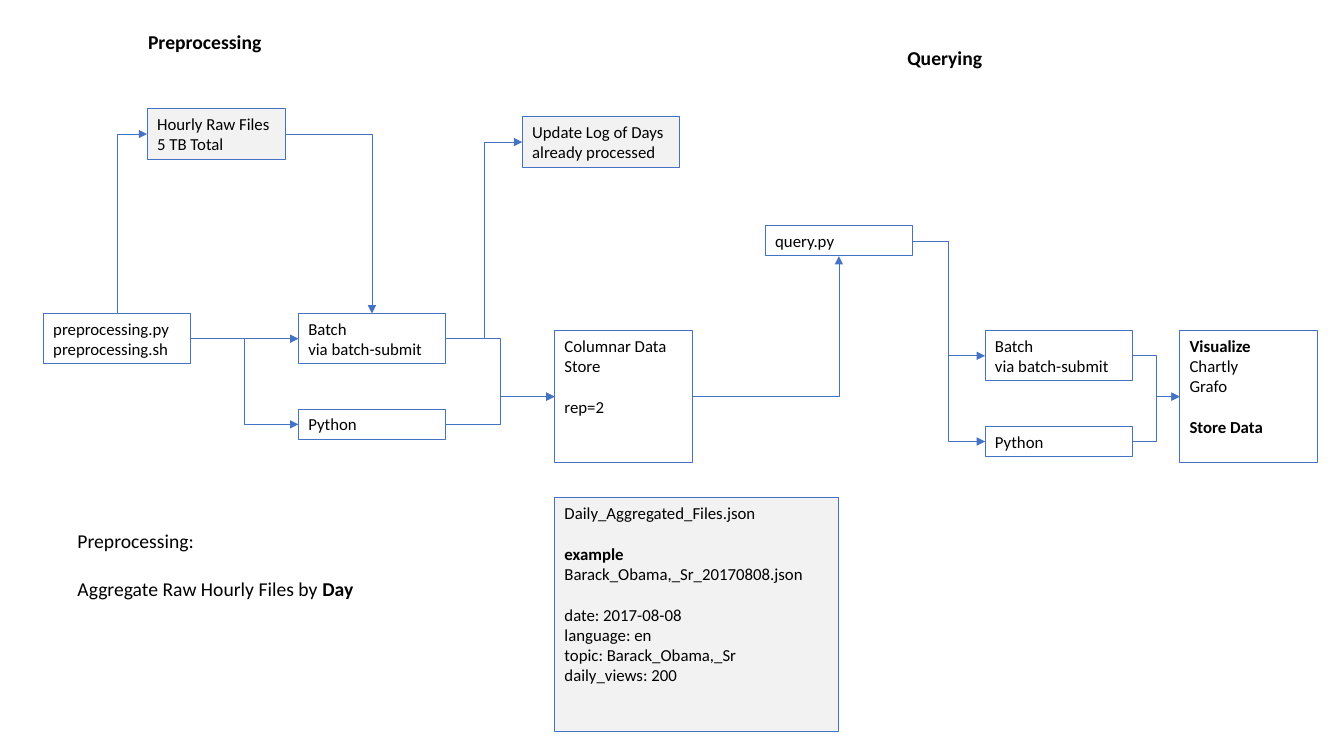
from lxml import etree
from pptx import Presentation
from pptx.dml.color import RGBColor
from pptx.enum.shapes import MSO_CONNECTOR, MSO_SHAPE
from pptx.enum.text import MSO_ANCHOR, PP_ALIGN
from pptx.oxml.ns import qn
from pptx.util import Inches, Pt

RECT, ELBOW = MSO_SHAPE.RECTANGLE, MSO_CONNECTOR.ELBOW
LEFT, ANCHOR_TOP = PP_ALIGN.LEFT, MSO_ANCHOR.TOP
TOP_SITE, LEFT_SITE, BOTTOM_SITE, RIGHT_SITE = range(4)

FONT, INK, BLUE, GREY = "Calibri", "000000", "4472C4", "F2F2F2"
STEP_W, ONE_LINE, TWO_LINES = 1.46, 0.3, 0.5
STORE_W, STORE_H = 1.37, 1.31
LINE_RATIO = 1.22
ENGINE = "Batch\nvia batch-submit"

BOXES = {
    "raw": (1.46, 1.08, STORE_W, TWO_LINES, GREY, "Hourly Raw Files\n5 TB Total"),
    "log": (5.18, 1.16, 1.56, TWO_LINES, GREY, "Update Log of Days already processed"),
    "preprocess": (0.43, 3.11, STEP_W, TWO_LINES, None, "preprocessing.py\npreprocessing.sh"),
    "engine_in": (2.96, 3.11, STEP_W, TWO_LINES, None, ENGINE),
    "python_in": (2.96, 4.06, STEP_W, ONE_LINE, None, "Python"),
    "store": (5.5, 3.28, STORE_W, STORE_H, None, "Columnar Data Store\n\nrep=2"),
    "daily": (5.5, 4.94, 2.82, 2.32, GREY,
              "Daily_Aggregated_Files.json\n\n*example*\nBarack_Obama,_Sr_20170808.json\n\n"
              "date: 2017-08-08\nlanguage: en\ntopic: Barack_Obama,_Sr\ndaily_views: 200"),
    "query": (7.59, 2.24, STEP_W, ONE_LINE, None, "query.py"),
    "engine_out": (9.77, 3.28, STEP_W, TWO_LINES, None, ENGINE),
    "python_out": (9.77, 4.23, STEP_W, ONE_LINE, None, "Python"),
    "visualize": (11.7, 3.28, STORE_W, STORE_H, None,
                  "*Visualize*\nChartly\nGrafo\n\n*Store Data*"),
}
FLOWS = [
    ("preprocess", "engine_in"), ("preprocess", "python_in"),
    ("engine_in", "store"), ("python_in", "store"), ("engine_in", "log"),
    ("query", "engine_out"), ("query", "python_out"),
    ("engine_out", "visualize"), ("python_out", "visualize"),
]
CORNERS = [
    ("raw", LEFT_SITE, "preprocess", TOP_SITE, "headEnd"),
    ("raw", RIGHT_SITE, "engine_in", TOP_SITE, "tailEnd"),
    ("store", RIGHT_SITE, "query", BOTTOM_SITE, "tailEnd"),
]
LABELS = [
    (1.37, 0.25, 1.38, 0.34, True, "*Preprocessing*"),
    (8.9, 0.41, 1.38, 0.34, True, "*Querying*"),
    (0.67, 5.2, 2.95, 0.81, False, "Preprocessing:\n\nAggregate Raw Hourly Files by *Day*"),
]


def rgb(value):
    return RGBColor.from_string(value)


def write(tf, text, size=12, color=INK, wrap=True):
    tf.word_wrap = wrap
    tf.vertical_anchor = ANCHOR_TOP
    p = None
    for block in text.split("\n\n"):
        for i, line in enumerate(block.split("\n")):
            gap = p is not None and i == 0
            p = tf.paragraphs[0] if p is None else tf.add_paragraph()
            p.alignment = LEFT
            if gap:
                p.space_before = Pt(round(size * LINE_RATIO, 1))
            for j, part in enumerate(line.split("*")):
                if part:
                    r = p.add_run()
                    r.text = part
                    r.font.name, r.font.size = FONT, Pt(size)
                    r.font.bold = j % 2 == 1
                    r.font.color.rgb = rgb(color)


def add_box(x, y, w, h, fill, text):
    s = slide.shapes.add_shape(RECT, *map(Inches, (x, y, w, h)))
    s.shadow.inherit = False
    if fill:
        s.fill.solid()
        s.fill.fore_color.rgb = rgb(fill)
    else:
        s.fill.background()
    s.line.color.rgb = rgb(BLUE)
    s.line.width = Pt(0.75)
    write(s.text_frame, text)
    return s


def connect(start, start_site, end, end_site, arrow="tailEnd", corner=False):
    c = slide.shapes.add_connector(ELBOW, 0, 0, 0, 0)
    c.begin_connect(boxes[start], start_site)
    c.end_connect(boxes[end], end_site)
    c.line.color.rgb = rgb(BLUE)
    c.line.width = Pt(0.5)
    props = c._element.spPr
    if corner:
        props.find(qn("a:prstGeom")).set("prst", "bentConnector2")
    etree.SubElement(props.find(qn("a:ln")), qn("a:" + arrow), type="triangle")
    etree.SubElement(props, qn("a:effectLst"))


prs = Presentation()
prs.slide_width, prs.slide_height = Inches(13.33), Inches(7.5)
slide = prs.slides.add_slide(prs.slide_layouts[6])

boxes = {name: add_box(*box) for name, box in BOXES.items()}
for start, end in FLOWS:
    connect(start, RIGHT_SITE, end, LEFT_SITE)
for corner in CORNERS:
    connect(*corner, corner=True)
for x, y, w, h, wrap, text in LABELS:
    tb = slide.shapes.add_textbox(*map(Inches, (x, y, w, h)))
    write(tb.text_frame, text, size=14, wrap=wrap)

prs.save("out.pptx")
